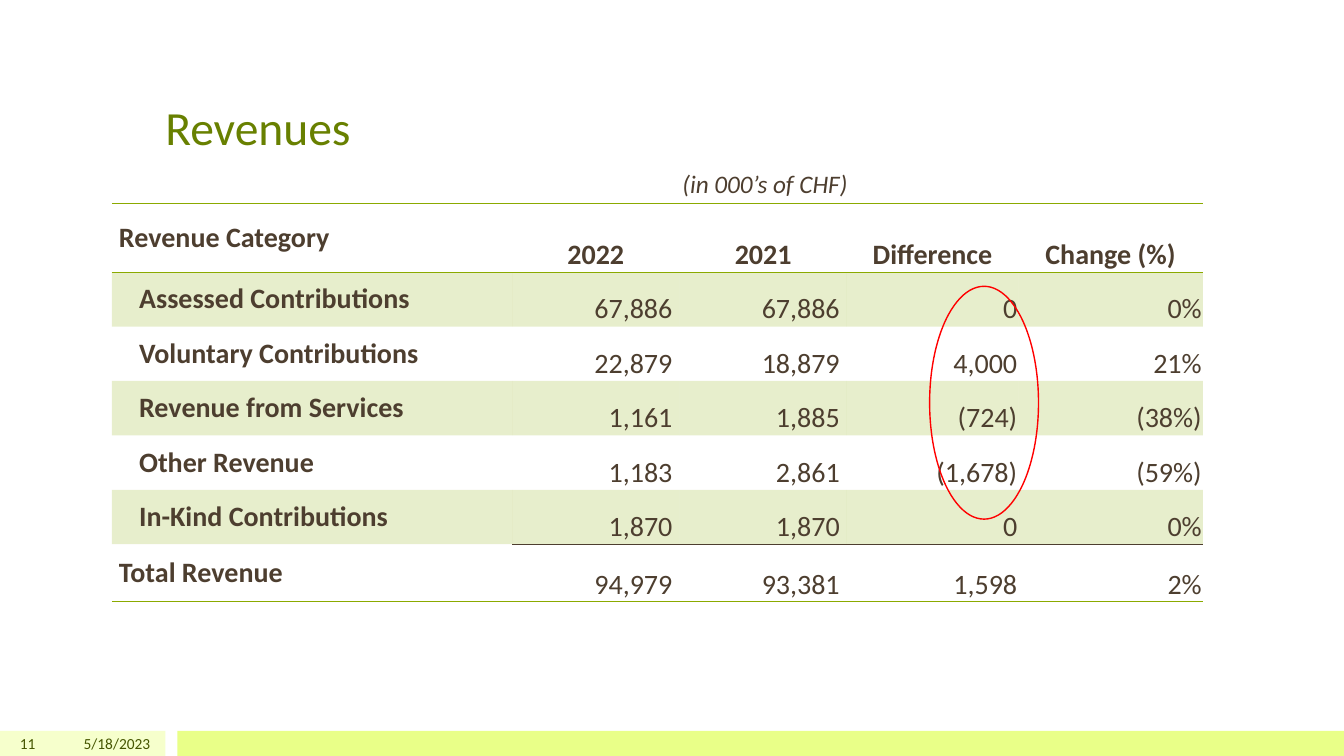
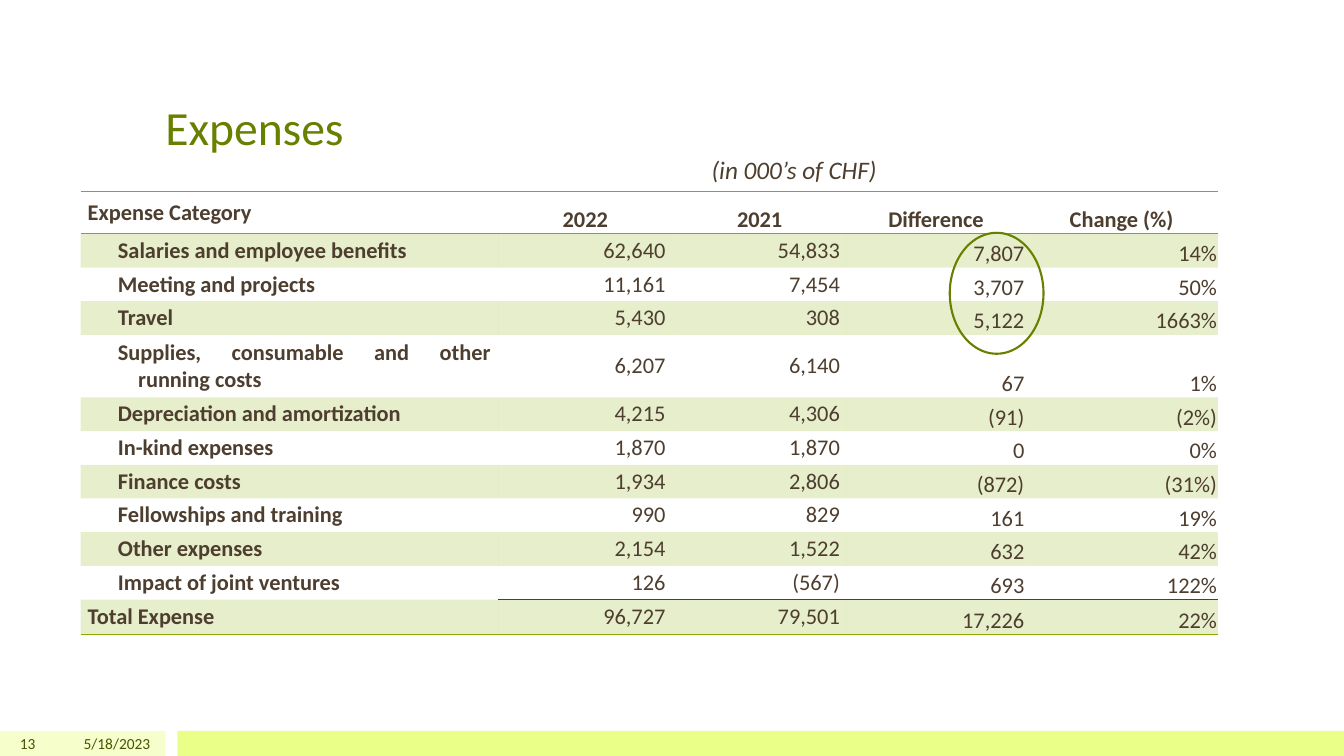
from dataclasses import dataclass

from lxml import etree
from pptx import Presentation
from pptx.dml.color import RGBColor
from pptx.enum.shapes import MSO_SHAPE
from pptx.enum.text import MSO_ANCHOR, MSO_AUTO_SIZE, PP_ALIGN
from pptx.oxml.ns import qn
from pptx.util import Inches, Pt

RECTANGLE, OVAL = MSO_SHAPE.RECTANGLE, MSO_SHAPE.OVAL
TOP, MIDDLE, BOTTOM = MSO_ANCHOR.TOP, MSO_ANCHOR.MIDDLE, MSO_ANCHOR.BOTTOM
LEFT, CENTER, RIGHT = PP_ALIGN.LEFT, PP_ALIGN.CENTER, PP_ALIGN.RIGHT
JUSTIFY = PP_ALIGN.JUSTIFY
NO_AUTOFIT = MSO_AUTO_SIZE.NONE

FONT = "Calibri"
GREEN = RGBColor(0x8B, 0xAA, 0x00)
TITLE_GREEN = RGBColor(0x68, 0x80, 0x00)
FOOTER_GREEN = RGBColor(0x45, 0x55, 0x00)
PALE_LIME = RGBColor(0xF6, 0xFF, 0xCC)
LIME = RGBColor(0xE9, 0xFF, 0x88)
BROWN = RGBColor(0x4D, 0x3E, 0x2F)
RED = RGBColor(0xFF, 0x00, 0x00)

FOOTER_TOP, FOOTER_HEIGHT = 7.25, 0.25
DATE = "5/18/2023"
UNIT_NOTE = "(in 000’s of CHF)"
PLAIN_STYLE = "{2D5ABB26-0587-4C30-8999-92F81FD0307C}"
BAND_ALPHA = "20000"
VALUE_HEADINGS = ("2022", "2021", "Difference", "Change (%)")


@dataclass(frozen=True)
class Box:
    left: float
    top: float
    width: float
    height: float

    def lengths(self) -> tuple:
        return tuple(map(Inches, (self.left, self.top, self.width, self.height)))


@dataclass(frozen=True)
class Highlight:
    box: Box
    color: RGBColor
    line_width: float


@dataclass(frozen=True)
class FinancePage:
    title: str
    number: str
    note_box: Box
    highlight: Highlight
    table_box: Box
    column_widths: tuple
    fixed_heights: dict  # row index to height; other rows share the rest
    font_size: int
    detail_indent: tuple  # left margin, first line
    year_anchor: MSO_ANCHOR
    category_heading: str
    rows: tuple


PAGES = (
    FinancePage(
        title="Revenues",
        number="11",
        note_box=Box(6.67, 1.62, 2, 0.4),
        highlight=Highlight(Box(9.22, 2.84, 1.08, 2.31), RED, 1),
        table_box=Box(1.11, 2.02, 10.81, 3.95),
        column_widths=(3.97, 1.66, 1.66, 1.7, 1.83),
        fixed_heights={0: 0.68, 6: 0.57},
        font_size=20,
        detail_indent=(0.2, 0),
        year_anchor=BOTTOM,
        category_heading="Revenue Category",
        rows=(
            ("Assessed Contributions", "67,886", "67,886", "0", "0%"),
            ("Voluntary Contributions", "22,879", "18,879", "4,000", "21%"),
            ("Revenue from Services", "1,161", "1,885", "(724)", "(38%)"),
            ("Other Revenue", "1,183", "2,861", "(1,678)", "(59%)"),
            ("In-Kind Contributions", "1,870", "1,870", "0", "0%"),
            ("Total Revenue", "94,979", "93,381", "1,598", "2%"),
        ),
    ),
    FinancePage(
        title="Expenses",
        number="13",
        note_box=Box(6.96, 1.48, 2, 0.4),
        highlight=Highlight(Box(9.42, 2.31, 0.93, 1.2), TITLE_GREEN, 1.5),
        table_box=Box(0.8, 1.9, 11.29, 4.4),
        column_widths=(4.14, 1.73, 1.73, 1.77, 1.91),
        fixed_heights={0: 0.42, 4: 0.62, 11: 0.35},
        font_size=16,
        detail_indent=(0.5, -0.2),
        year_anchor=MIDDLE,
        category_heading="Expense Category",
        rows=(
            ("Salaries and employee benefits", "62,640", "54,833", "7,807", "14%"),
            ("Meeting and projects", "11,161", "7,454", "3,707", "50%"),
            ("Travel", "5,430", "308", "5,122", "1663%"),
            ("Supplies, consumable and other running costs",
             "6,207", "6,140", "67", "1%"),
            ("Depreciation and amortization", "4,215", "4,306", "(91)", "(2%)"),
            ("In-kind expenses", "1,870", "1,870", "0", "0%"),
            ("Finance costs", "1,934", "2,806", "(872)", "(31%)"),
            ("Fellowships and training", "990", "829", "161", "19%"),
            ("Other expenses", "2,154", "1,522", "632", "42%"),
            ("Impact of joint ventures", "126", "(567)", "693", "122%"),
            ("Total Expense", "96,727", "79,501", "17,226", "22%"),
        ),
    ),
)


def write_text(text_frame, text: str, *, size: float, color: RGBColor = BROWN,
               bold: bool = False, italic: bool = False, align=LEFT,
               space_before: float = 0, indent: tuple = (0, 0)) -> None:
    paragraph = text_frame.paragraphs[0]
    paragraph.alignment = align
    paragraph.space_before = Pt(space_before)
    if any(indent):
        properties = paragraph._p.get_or_add_pPr()
        for name, length in zip(("marL", "indent"), indent):
            properties.set(name, str(Inches(length)))
    run = paragraph.add_run()
    run.text = text
    font = run.font
    font.name, font.size = FONT, Pt(size)
    font.bold, font.italic = bold, italic
    font.color.rgb = color


def add_text(slide, box: Box, text: str, anchor=TOP, **text_format) -> None:
    text_frame = slide.shapes.add_textbox(*box.lengths()).text_frame
    text_frame.word_wrap = True
    text_frame.vertical_anchor = anchor
    write_text(text_frame, text, **text_format)


def add_bands(slide, master) -> None:
    """Draw the footer bands and move them to the master."""
    for left, width, color in ((0, 1.64, PALE_LIME), (1.76, 11.57, LIME)):
        box = Box(left, FOOTER_TOP, width, FOOTER_HEIGHT)
        band = slide.shapes.add_shape(RECTANGLE, *box.lengths())
        band.shadow.inherit = False
        band.fill.solid()
        band.fill.fore_color.rgb = color
        band.line.fill.background()
        master.shapes.element.append(band.element)


def add_highlight(slide, highlight: Highlight) -> None:
    ellipse = slide.shapes.add_shape(OVAL, *highlight.box.lengths())
    ellipse.shadow.inherit = False
    ellipse.fill.background()
    ellipse.line.color.rgb = highlight.color
    ellipse.line.width = Pt(highlight.line_width)


def set_border(cell, side: str, color: RGBColor) -> None:
    properties = cell._tc.get_or_add_tcPr()
    line = etree.SubElement(properties, qn(f"a:ln{side}"), w=str(Pt(1)))
    fill = etree.SubElement(line, qn("a:solidFill"))
    etree.SubElement(fill, qn("a:srgbClr"), val=str(color))


def fill_band(cell) -> None:
    cell.fill.solid()
    cell.fill.fore_color.rgb = GREEN
    for color in cell._tc.tcPr.findall(f"{qn('a:solidFill')}/{qn('a:srgbClr')}"):
        etree.SubElement(color, qn("a:alpha"), val=BAND_ALPHA)


def format_cell(cell, page: FinancePage, text: str, row: int, column: int) -> None:
    last = len(page.rows)
    is_header, is_total, is_category = row == 0, row == last, column == 0
    is_calculated = column > 2 and not is_header

    # Insets and anchor
    side, top = (0.01, 0.01) if is_calculated else (0.07, 0)
    cell.margin_left = cell.margin_right = Inches(side)
    cell.margin_top, cell.margin_bottom = Inches(top), 0
    if is_category:
        cell.vertical_anchor = MIDDLE
    elif is_header or is_calculated:
        cell.vertical_anchor = BOTTOM
    else:
        cell.vertical_anchor = page.year_anchor

    # Text
    align = JUSTIFY if is_category else CENTER if is_header else RIGHT
    is_detail = is_category and not (is_header or is_total)
    write_text(cell.text_frame, text, size=page.font_size, align=align,
               bold=is_header or is_category, space_before=12,
               indent=page.detail_indent if is_detail else (0, 0))

    # Rules around the header and the total
    if is_header:
        set_border(cell, "T", GREEN)
    elif is_total and not is_category:
        set_border(cell, "T", BROWN)
    if is_header or is_total:
        set_border(cell, "B", GREEN)
    elif row == last - 1 and not is_category:
        set_border(cell, "B", BROWN)

    # Banding
    if row % 2:
        fill_band(cell)
    else:
        cell.fill.background()


def add_finance_table(slide, page: FinancePage) -> None:
    rows = ((page.category_heading, *VALUE_HEADINGS), *page.rows)
    frame = slide.shapes.add_table(len(rows), len(page.column_widths),
                                   *page.table_box.lengths())
    table = frame.table
    table.first_row = table.horz_banding = False
    for style in frame.element.iter(qn("a:tableStyleId")):
        style.text = PLAIN_STYLE

    for column, width in zip(table.columns, page.column_widths):
        column.width = Inches(width)
    remaining = page.table_box.height - sum(page.fixed_heights.values())
    shared_height = remaining / (len(rows) - len(page.fixed_heights))
    for row, values in enumerate(rows):
        table.rows[row].height = Inches(page.fixed_heights.get(row, shared_height))
        for column, text in enumerate(values):
            format_cell(table.cell(row, column), page, text, row, column)


def add_page(presentation, layout, page: FinancePage):
    slide = presentation.slides.add_slide(layout)
    title_frame = slide.shapes.title.text_frame
    title_frame.auto_size = NO_AUTOFIT
    title_frame.vertical_anchor = BOTTOM
    write_text(title_frame, page.title, size=34, color=TITLE_GREEN)

    # Footer
    for left, width, text in ((0, 0.45, page.number), (0.5, 1.09, DATE)):
        add_text(slide, Box(left, FOOTER_TOP, width, FOOTER_HEIGHT), text,
                 anchor=MIDDLE, size=11, color=FOOTER_GREEN, align=RIGHT)

    add_finance_table(slide, page)
    add_text(slide, page.note_box, UNIT_NOTE, size=18, italic=True)
    add_highlight(slide, page.highlight)
    return slide


def main() -> None:
    presentation = Presentation()
    presentation.slide_width = Inches(13.33)
    presentation.slide_height = Inches(7.5)

    # Shared title position
    layout = presentation.slide_layouts.get_by_name("Title Only")
    title = layout.placeholders[0]
    title.left, title.top, title.width, title.height = Box(
        1.54, 0.3, 10.25, 1.29).lengths()

    slides = [add_page(presentation, layout, page) for page in PAGES]
    add_bands(slides[0], presentation.slide_master)
    presentation.save("out.pptx")


if __name__ == "__main__":
    main()
